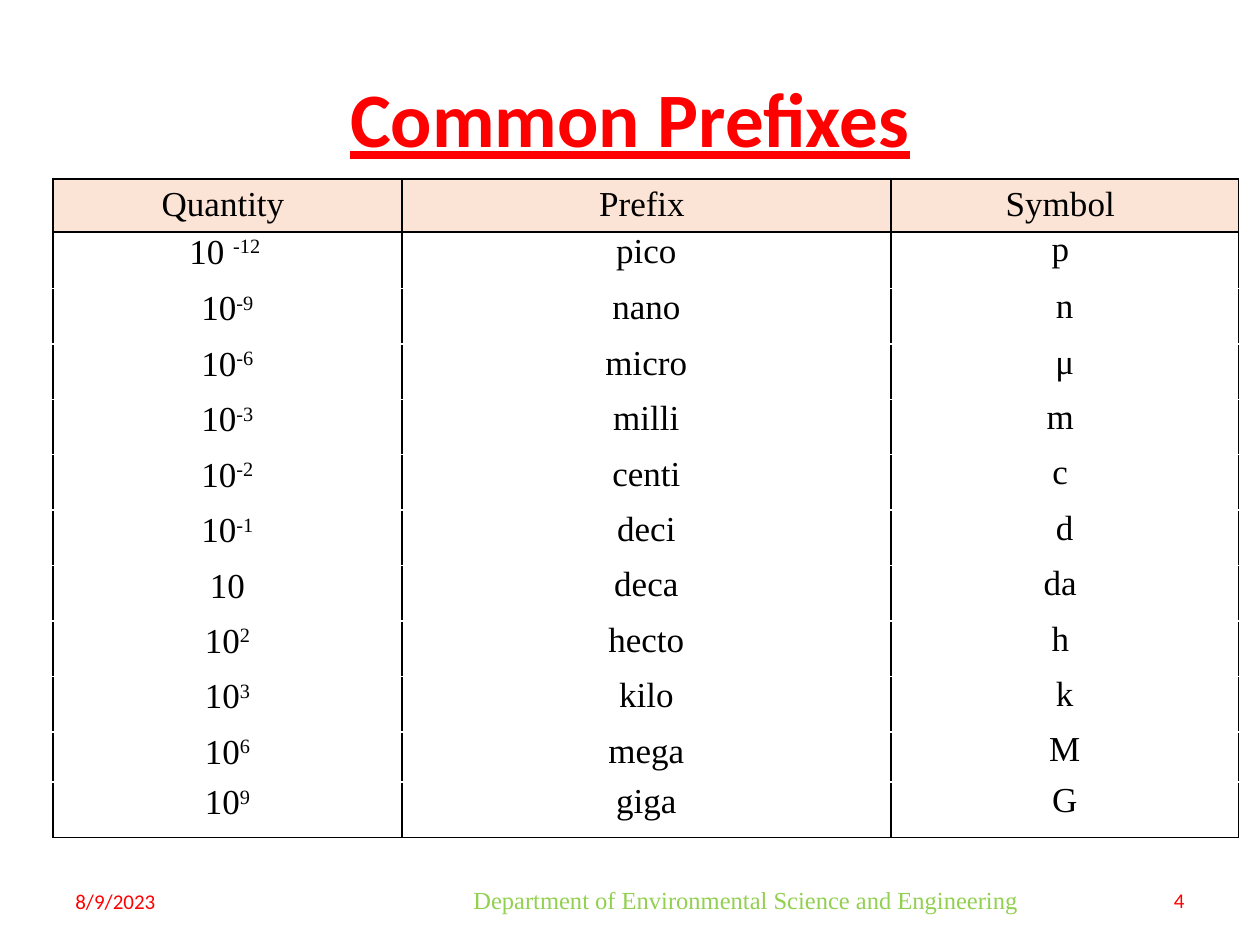
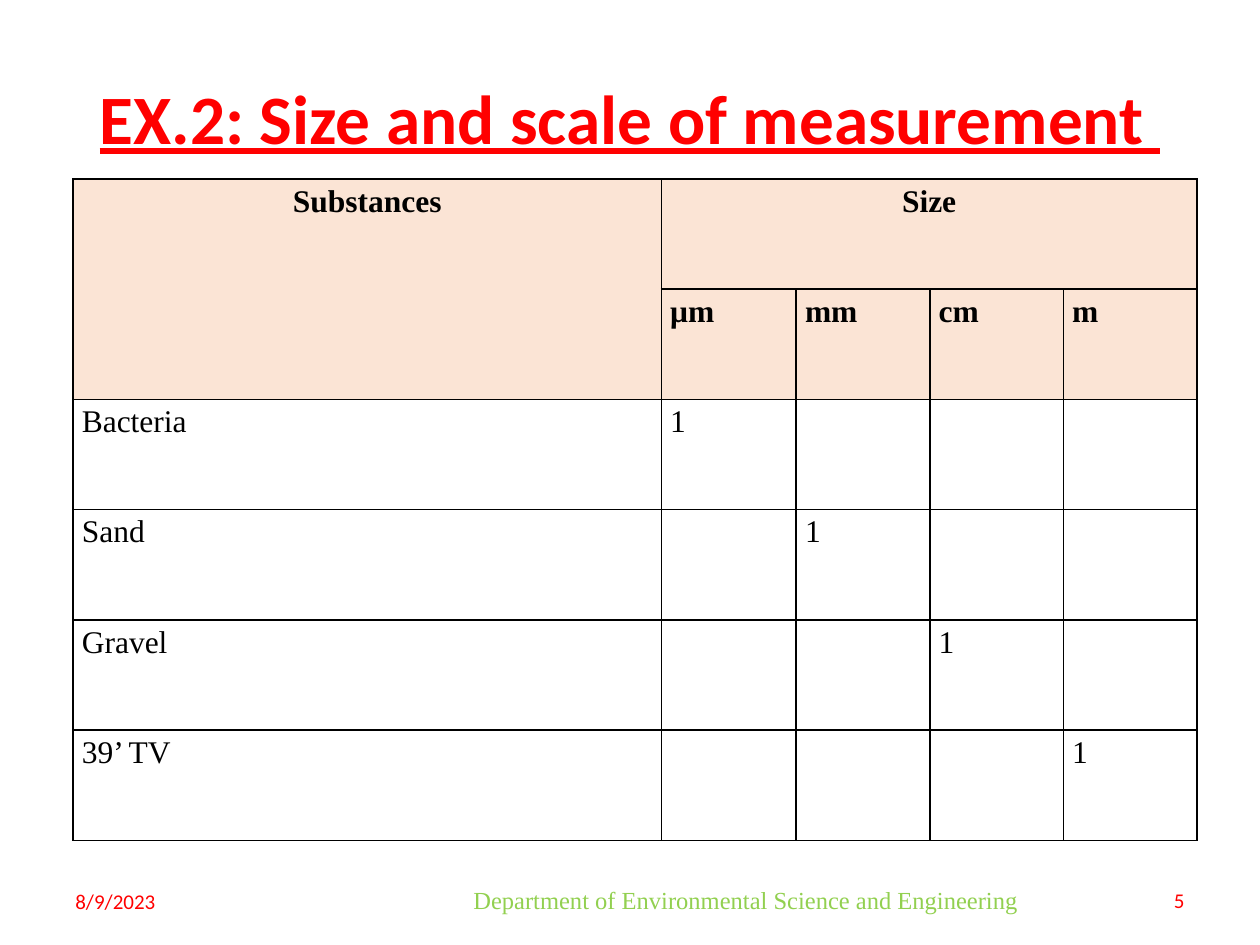
from dataclasses import dataclass
from itertools import product

from lxml import etree
from pptx import Presentation
from pptx import util as u
from pptx.dml.color import RGBColor
from pptx.enum import text
from pptx.oxml import ns

RED = RGBColor(0xFF, 0x00, 0x00)
GREEN = RGBColor(0x92, 0xD0, 0x50)
BLACK = RGBColor(0x00, 0x00, 0x00)
WHITE = RGBColor(0xFF, 0xFF, 0xFF)
PEACH = RGBColor(0xFB, 0xE4, 0xD5)
SANS = "Calibri"
SERIF = "Times New Roman"
LEFT, CENTER, RIGHT = text.PP_ALIGN.LEFT, text.PP_ALIGN.CENTER, text.PP_ALIGN.RIGHT
ALL_SIDES = "LRTB"
HEADER_SPACING = 1.15

PREFIXES = [
    ("10 ^-12 ", "pico", "p "),
    ("10^-9", "nano", "n"),
    ("10^-6", "micro", "μ"),
    ("10^-3", "milli", "m "),
    ("10^-2", "centi", "c "),
    ("10^-1", "deci", "d"),
    ("10", "deca", "da "),
    ("10^2", "hecto", "h "),
    ("10^3", "kilo", "k"),
    ("10^6", "mega", "M"),
    ("10^9", "giga", "G"),
]
PREFIX_SPACING = (1.03, 1.0, 0.97)
UNITS = ("μm", "mm", "cm", "m")
SUBSTANCES = ("Bacteria", "Sand", "Gravel", "39’ TV")


@dataclass(frozen=True)
class Area:
    left: float
    top: float
    width: float
    height: float

    def lengths(self) -> list[u.Length]:
        return [u.Inches(n) for n in (self.left, self.top, self.width, self.height)]


@dataclass(frozen=True)
class FooterItem:
    area: Area
    words: str
    size: float
    font: str
    color: RGBColor
    align: text.PP_ALIGN


TITLE_AREA = Area(0.5, 0.3, 9, 1.25)
FOOTERS = (
    FooterItem(Area(0.5, 6.95, 2.33, 0.4), "8/9/2023", 12, SANS, RED, LEFT),
    FooterItem(Area(3.42, 6.95, 5, 0.38),
               "Department of Environmental Science and Engineering",
               14, SERIF, GREEN, CENTER),
    FooterItem(Area(8.33, 6.95, 1.17, 0.38), "{number}", 12, SANS, RED, RIGHT),
)


def write(frame, words: str, *, size: float, font: str = SERIF,
          color: RGBColor = BLACK, align=LEFT, bold: bool = False,
          underline: bool = False, spacing: float = 1.0) -> None:
    para = frame.paragraphs[0]
    para.alignment = align
    para.line_spacing = spacing
    for position, part in enumerate(words.split("^")):
        span = para.add_run()
        span.text = part
        span.font.size = u.Pt(size)
        span.font.name = font
        span.font.color.rgb = color
        span.font.bold = bold
        span.font.underline = underline
        if position:
            span.font._element.set("baseline", "30000")


def add_words(page, area: Area, words: str, **style) -> None:
    box = page.shapes.add_textbox(*area.lengths())
    box.text_frame.word_wrap = True
    box.text_frame.vertical_anchor = text.MSO_ANCHOR.MIDDLE
    write(box.text_frame, words, **style)


def add_page(deck, number: int, title: str, size: float):
    page = deck.slides.add_slide(deck.slide_layouts[6])
    add_words(page, TITLE_AREA, title, size=size, font=SANS, color=RED,
              align=CENTER, bold=True, underline=True)
    for item in FOOTERS:
        add_words(page, item.area, item.words.format(number=number), size=item.size,
                  font=item.font, color=item.color, align=item.align)
    return page


def style_cell(cell, fill: RGBColor, sides: str = ALL_SIDES) -> None:
    properties = cell._tc.get_or_add_tcPr()
    for side in sides:
        line = etree.SubElement(properties, ns.qn(f"a:ln{side}"), w=str(u.Pt(1)))
        paint = etree.SubElement(line, ns.qn("a:solidFill"))
        etree.SubElement(paint, ns.qn("a:srgbClr"), val=str(BLACK))
    cell.fill.solid()
    cell.fill.fore_color.rgb = fill
    cell.margin_left = cell.margin_right = u.Inches(0.07)
    cell.margin_top = cell.margin_bottom = 0


def add_grid(page, area: Area, widths: list[float], heights: list[float]):
    grid = page.shapes.add_table(len(heights), len(widths), *area.lengths()).table
    grid.first_row = grid.horz_banding = False
    for column, width in zip(grid.columns, widths):
        column.width = u.Inches(width)
    for row, height in zip(grid.rows, heights):
        row.height = u.Inches(height)
    return grid


def build_prefixes(deck) -> None:
    page = add_page(deck, 4, "Common Prefixes", 44)
    heights = [0.42, 0.45] + [0.44] * 8 + [0.4, 0.44]
    grid = add_grid(page, Area(0.42, 1.42, 9.42, 5.25), [2.77, 3.88, 2.76], heights)
    for column, heading in enumerate(("Quantity ", "Prefix ", "Symbol ")):
        cell = grid.cell(0, column)
        style_cell(cell, PEACH)
        write(cell.text_frame, heading, size=20, align=CENTER, spacing=HEADER_SPACING)
    for row, entries in enumerate(PREFIXES, start=1):
        sides = "LR" + "T" * (row == 1) + "B" * (row == len(PREFIXES))
        for column, words in enumerate(entries):
            cell = grid.cell(row, column)
            style_cell(cell, WHITE, sides)
            write(cell.text_frame, words, size=20, align=CENTER,
                  spacing=PREFIX_SPACING[column])


def build_sizes(deck) -> None:
    page = add_page(deck, 5, "EX.2: Size and scale of measurement ", 39.6)
    grid = add_grid(page, Area(0.58, 1.42, 8.92, 5.25),
                    [4.67, 1.07, 1.06, 1.06, 1.06], [5.25 / 6] * 6)
    for row, column in product(range(6), range(5)):
        style_cell(grid.cell(row, column), PEACH if row < 2 else WHITE)
    grid.cell(0, 0).merge(grid.cell(1, 0))
    grid.cell(0, 1).merge(grid.cell(0, 4))

    def fill_in(row: int, column: int, words: str, **style) -> None:
        write(grid.cell(row, column).text_frame, words, size=18,
              spacing=HEADER_SPACING, **style)

    fill_in(0, 0, "Substances", align=CENTER, bold=True)
    fill_in(0, 1, "Size", align=CENTER, bold=True)
    for step, (unit, substance) in enumerate(zip(UNITS, SUBSTANCES)):
        fill_in(1, step + 1, unit, bold=True)
        fill_in(step + 2, 0, substance)
        fill_in(step + 2, step + 1, "1")


def main() -> None:
    deck = Presentation()
    deck.slide_width, deck.slide_height = u.Inches(10), u.Inches(7.5)
    build_prefixes(deck)
    build_sizes(deck)
    deck.save("out.pptx")


if __name__ == "__main__":
    main()
